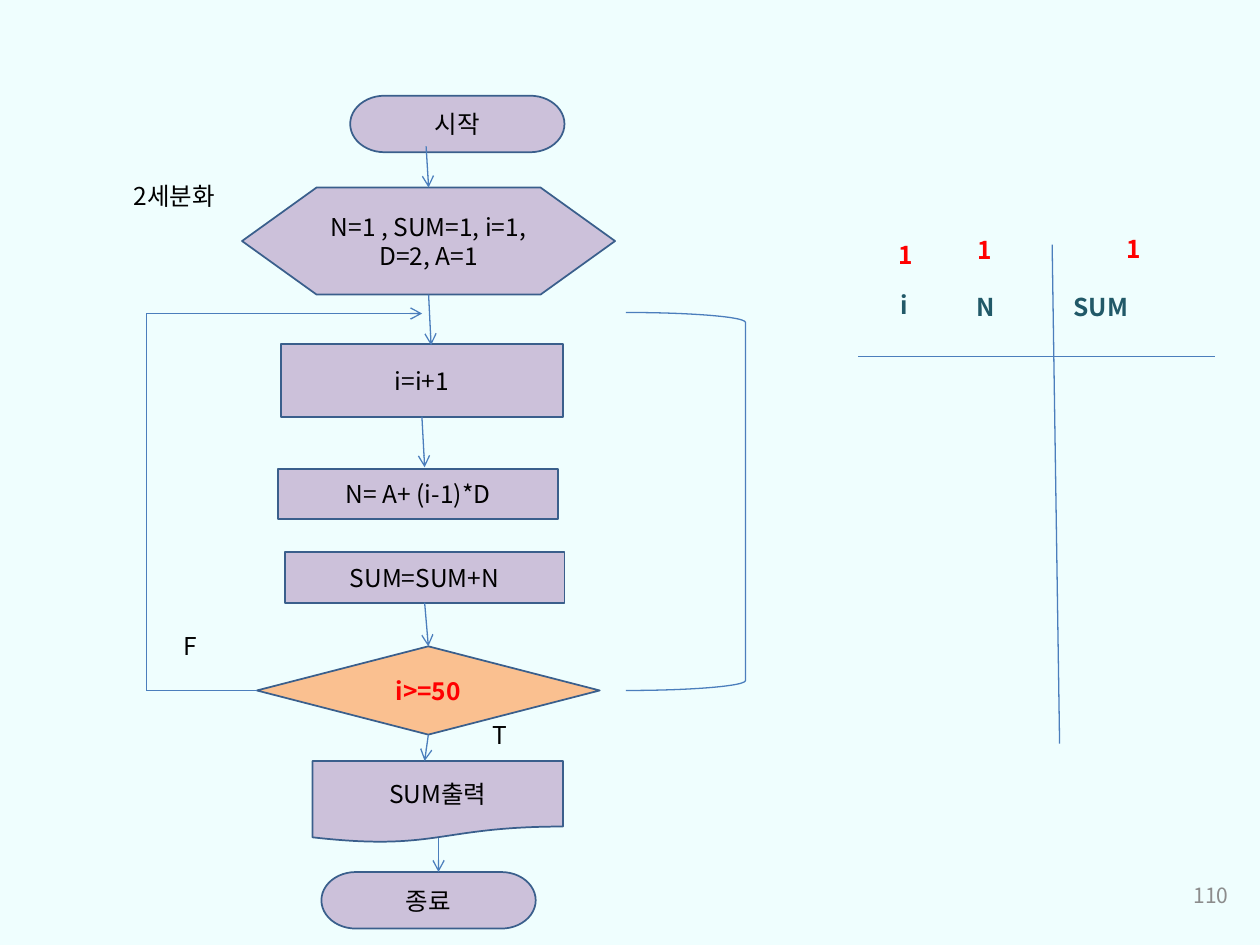
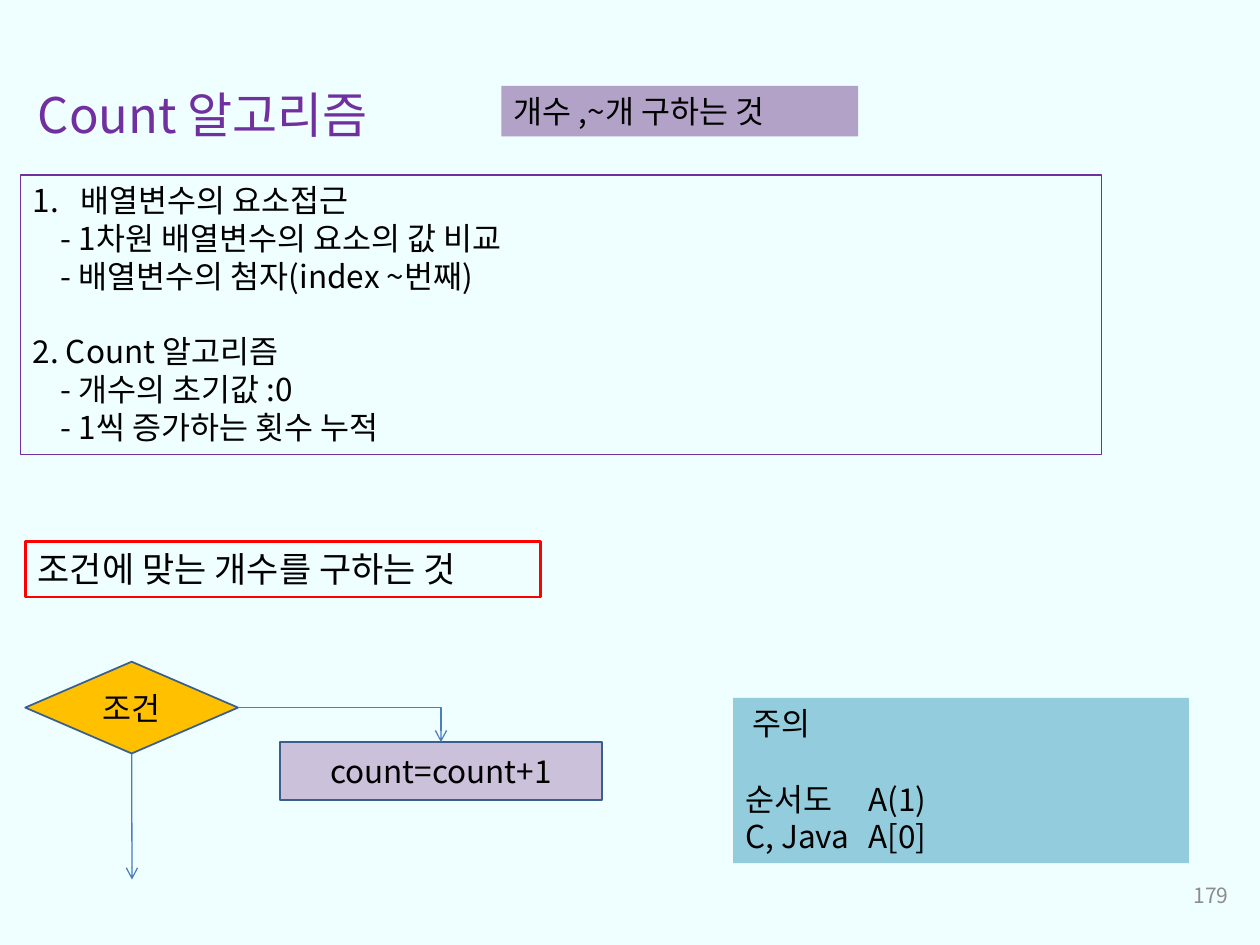
"""Builds two slides on summing and counting algorithms with flowcharts."""
from lxml import etree
from pptx import Presentation
from pptx import util as u
from pptx.dml.color import RGBColor
from pptx.enum import shapes, text
from pptx.oxml.ns import qn

FONT = "Noto Sans CJK KR"
PALE = RGBColor(0xEF, 0xFE, 0xFE)
BLACK = RGBColor(0, 0, 0)
GREY = RGBColor(0x8C, 0x8C, 0x8C)
RED = RGBColor(0xFF, 0, 0)
TEAL = RGBColor(0x21, 0x59, 0x68)
PURPLE = RGBColor(0x70, 0x30, 0xA0)
LILAC = RGBColor(0xCC, 0xC1, 0xDA)
MAUVE = RGBColor(0xB3, 0xA2, 0xC7)
ORANGE = RGBColor(0xFA, 0xC0, 0x90)
AMBER = RGBColor(0xFF, 0xC0, 0)
AQUA = RGBColor(0x93, 0xCD, 0xDD)
OUTLINE = RGBColor(0x3A, 0x5F, 0x8C)
FLOW = RGBColor(0x4B, 0x7E, 0xBC)

MSO = shapes.MSO_SHAPE
LEFT, CENTER, RIGHT = text.PP_ALIGN.LEFT, text.PP_ALIGN.CENTER, text.PP_ALIGN.RIGHT
TOP, MIDDLE = text.MSO_ANCHOR.TOP, text.MSO_ANCHOR.MIDDLE
N_TOP, N_LEFT, N_BOTTOM, N_RIGHT = range(4)


def write(p, words, size=14, color=BLACK, bold=False, align=LEFT, indent=0,
          hanging=0, number=False, tab=None, before=0, spacing=None):
    """Fill one paragraph with a formatted run."""
    pPr = p._p.get_or_add_pPr()
    if indent:
        pPr.set("marL", str(u.Cm(indent)))
        pPr.set("indent", str(-u.Cm(hanging)))
    if number:
        etree.SubElement(pPr, qn("a:buFont"), typeface="+mj-lt")
        etree.SubElement(pPr, qn("a:buAutoNum"), type="arabicPeriod")
    if tab:
        tabs = etree.SubElement(pPr, qn("a:tabLst"))
        etree.SubElement(tabs, qn("a:tab"), pos=str(u.Cm(tab)), algn="l")
    p.alignment = align
    if before:
        p.space_before = u.Pt(before)
    if spacing:
        p.line_spacing = spacing
    r = p.add_run()
    r.text = words
    r.font.size, r.font.bold = u.Pt(size), bold
    r.font.color.rgb = color
    r.font.name = FONT
    etree.SubElement(r._r.get_or_add_rPr(), qn("a:ea"), typeface=FONT)


class Deck:
    """Holds the presentation, its style and the current slide."""

    def __init__(self):
        self.prs = Presentation()
        self.prs.slide_width, self.prs.slide_height = u.Cm(25.4), u.Cm(19.05)
        self.s = None

    def slide(self, number, title=None):
        self.s = self.prs.slides.add_slide(self.prs.slide_layouts[5 if title else 6])
        fill = self.s.background.fill
        fill.solid()
        fill.fore_color.rgb = PALE
        if title:
            sp = self.s.shapes.title
            sp.left, sp.top, sp.width, sp.height = map(u.Cm, (0.51, 0.99, 23.8, 1.78))
            self.fill_text(sp, [title], TOP, size=28, color=PURPLE, spacing=1.5)
        self.label(number, 19.1, 17.53, 5.92, 1.02, anchor=MIDDLE,
                   size=12, color=GREY, align=RIGHT)

    def fill_text(self, sp, lines, anchor, **style):
        tf = sp.text_frame
        tf.word_wrap, tf.vertical_anchor = True, anchor
        tf.auto_size = text.MSO_AUTO_SIZE.NONE
        for i, line in enumerate(lines):
            words, extra = line if isinstance(line, tuple) else (line, {})
            p = tf.add_paragraph() if i else tf.paragraphs[0]
            write(p, words, **{**style, **extra})

    def label(self, words, x, y, w, h, anchor=TOP, **style):
        sp = self.s.shapes.add_textbox(*map(u.Cm, (x, y, w, h)))
        self.fill_text(sp, [words], anchor, **style)

    def shape(self, kind, x, y, w, h, fill=None, line=None, width=1):
        sp = self.s.shapes.add_shape(kind, *map(u.Cm, (x, y, w, h)))
        sp.shadow.inherit = False
        if fill is None:
            sp.fill.background()
        else:
            sp.fill.solid()
            sp.fill.fore_color.rgb = fill
        if line is None:
            sp.line.fill.background()
        else:
            sp.line.color.rgb, sp.line.width = line, u.Pt(width)
        return sp

    def step(self, kind, lines, x, y, w, h, fill=LILAC, **style):
        sp = self.shape(kind, x, y, w, h, fill, OUTLINE)
        self.fill_text(sp, lines, MIDDLE, align=CENTER, **style)
        return sp

    def panel(self, lines, x, y, w, h, fill=None, line=None, width=0.75, size=18):
        sp = self.shape(MSO.RECTANGLE, x, y, w, h, fill, line, width)
        self.fill_text(sp, lines, TOP, size=size)

    def line(self, start, end, arrow=True, bent=False):
        """Draw between points or (shape, side) pairs."""
        kind = shapes.MSO_CONNECTOR.ELBOW if bent else shapes.MSO_CONNECTOR.STRAIGHT
        free = [(0, 0) if hasattr(e[0], "shape_id") else e for e in (start, end)]
        cx = self.s.shapes.add_connector(kind, *(u.Cm(v) for pt in free for v in pt))
        for e, join in ((start, cx.begin_connect), (end, cx.end_connect)):
            if hasattr(e[0], "shape_id"):
                join(*e)
        cx.line.color.rgb, cx.line.width = FLOW, u.Pt(0.75)
        spPr = cx._element.spPr
        if bent:
            spPr.find(qn("a:prstGeom")).set("prst", "bentConnector2")
        if arrow:
            etree.SubElement(spPr.find(qn("a:ln")), qn("a:tailEnd"), type="arrow")
        etree.SubElement(spPr, qn("a:effectLst"))


def sum_slide(d):
    d.slide("110")
    d.step(MSO.FLOWCHART_TERMINATOR, ["시작"], 7.06, 1.93, 4.32, 1.14)
    init = d.step(MSO.FLOWCHART_PREPARATION, ["N=1 , SUM=1, i=1,", "D=2, A=1"],
                  4.88, 3.78, 7.52, 2.16)
    test = d.step(MSO.FLOWCHART_DECISION, ["i>=50"], 5.18, 13.03, 6.91, 1.78,
                  fill=ORANGE, color=RED, bold=True)
    count = d.step(MSO.FLOWCHART_PROCESS, ["i=i+1"], 5.66, 6.93, 5.69, 1.47)
    d.step(MSO.FLOWCHART_PROCESS, ["N= A+ (i-1)*D"], 5.61, 9.45, 5.64, 1.02)
    total = d.step(MSO.FLOWCHART_PROCESS, ["SUM=SUM+N"], 5.74, 11.13, 5.64, 1.02)
    d.step(MSO.FLOWCHART_DOCUMENT, ["SUM출력"], 6.3, 15.34, 5.05, 1.65)
    d.step(MSO.FLOWCHART_TERMINATOR, ["종료"], 6.48, 17.58, 4.32, 1.14)

    for start, end in (((8.59, 2.95), (init, N_TOP)),
                       ((init, N_BOTTOM), (8.69, 6.96)),
                       ((count, N_BOTTOM), (8.56, 9.42)),
                       ((total, N_BOTTOM), (test, N_TOP)),
                       ((test, N_BOTTOM), (8.56, 15.34)),
                       ((8.84, 16.89), (8.84, 17.58)),
                       ((2.95, 6.32), (8.51, 6.32))):
        d.line(start, end)
    for start, end in (((test, N_LEFT), (2.95, 13.92)),
                       ((2.95, 13.92), (2.95, 6.32)),
                       ((17.3, 7.19), (24.49, 7.19)),
                       ((21.21, 4.93), (21.36, 14.99))):
        d.line(start, end, arrow=False)
    d.shape(MSO.RIGHT_BRACKET, 12.62, 6.3, 2.41, 7.62, line=FLOW, width=0.75)

    for words, x, y, w in (("F", 3.45, 12.6, 1.73), ("T", 9.68, 14.4, 1.73),
                           ("2세분화", 2.44, 3.53, 2.95)):
        d.label(words, x, y, w, 1.14)
    for x, y in ((17.86, 4.72), (19.46, 4.62), (22.45, 4.6)):
        d.label("1", x, y, 2.06, 0.86, color=RED, bold=True)
    d.label("i", 17.91, 5.72, 0.99, 0.86, color=TEAL, bold=True)
    d.label("N\tSUM", 19.44, 5.77, 5.16, 0.86, color=TEAL, bold=True, tab=1.95)


def count_slide(d):
    d.slide("179", "Count 알고리즘")
    sub, gap = {"indent": 0.57}, {"before": 21.5}
    d.panel([("배열변수의 요소접근", {"indent": 0.97, "hanging": 0.97, "number": True}),
             ("- 1차원 배열변수의 요소의 값 비교", sub),
             ("- 배열변수의 첨자(index ~번째)", sub),
             ("2. Count 알고리즘", gap),
             ("- 개수의 초기값 :0", sub),
             ("- 1씩 증가하는 횟수 누적", sub)],
            0.41, 3.53, 21.79, 5.64, line=PURPLE)
    d.panel(["개수 ,~개 구하는 것"], 10.11, 1.73, 7.19, 1.02, fill=MAUVE)
    d.panel(["조건에 맞는 개수를 구하는 것"], 0.51, 10.92, 10.39, 1.12,
            line=RED, width=1.5, size=20)
    test = d.step(MSO.FLOWCHART_DECISION, ["조건"], 0.51, 13.34, 4.29, 1.85,
                  fill=AMBER, size=18)
    count = d.step(MSO.FLOWCHART_PROCESS, ["count=count+1"], 5.64, 14.96, 6.5, 1.17,
                   size=18)
    d.line((test, N_RIGHT), (count, N_TOP), bent=True)
    d.line((test, N_BOTTOM), (2.66, 17.73))
    d.panel([("주의", {"indent": 0.14}),
             ("순서도\tA(1)", {"tab": 2.48, **gap}),
             ("C, Java\tA[0]", {"tab": 2.48})],
            14.78, 14.07, 9.19, 3.33, fill=AQUA)


def main():
    d = Deck()
    sum_slide(d)
    count_slide(d)
    d.prs.save("out.pptx")


if __name__ == "__main__":
    main()
